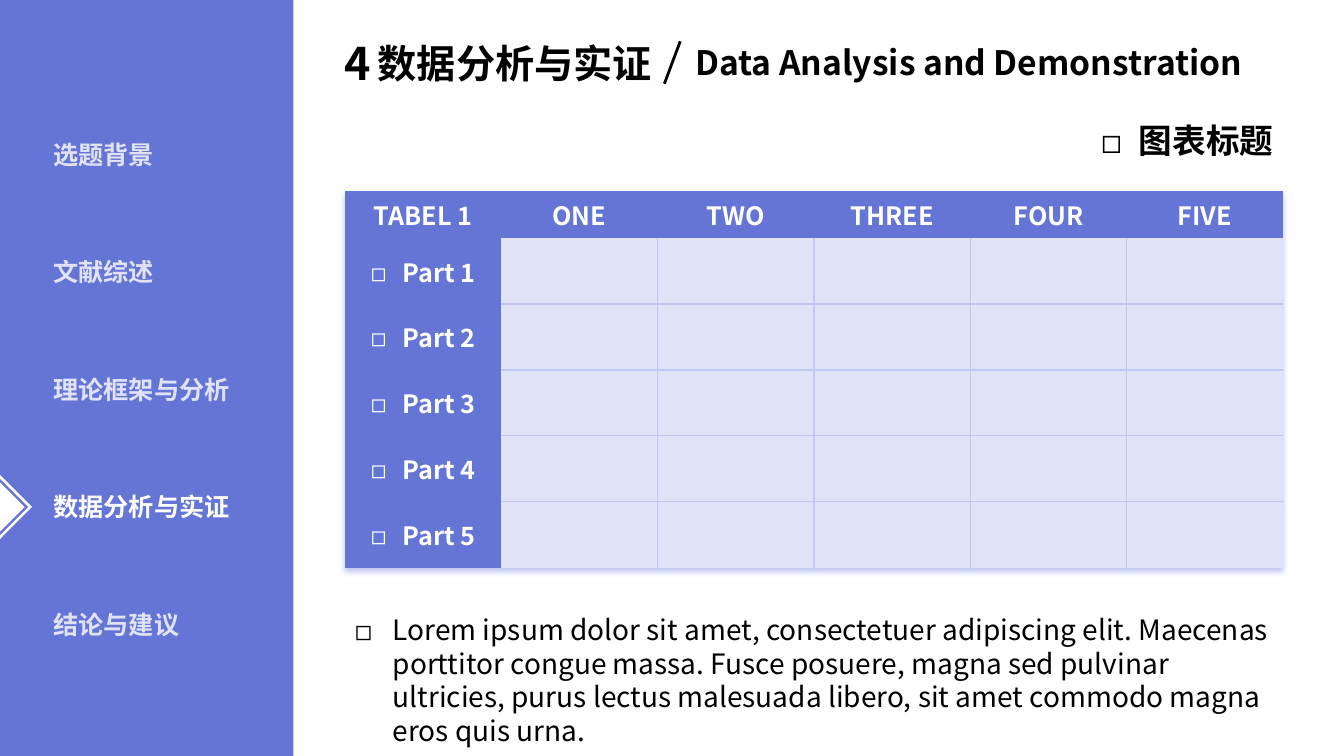
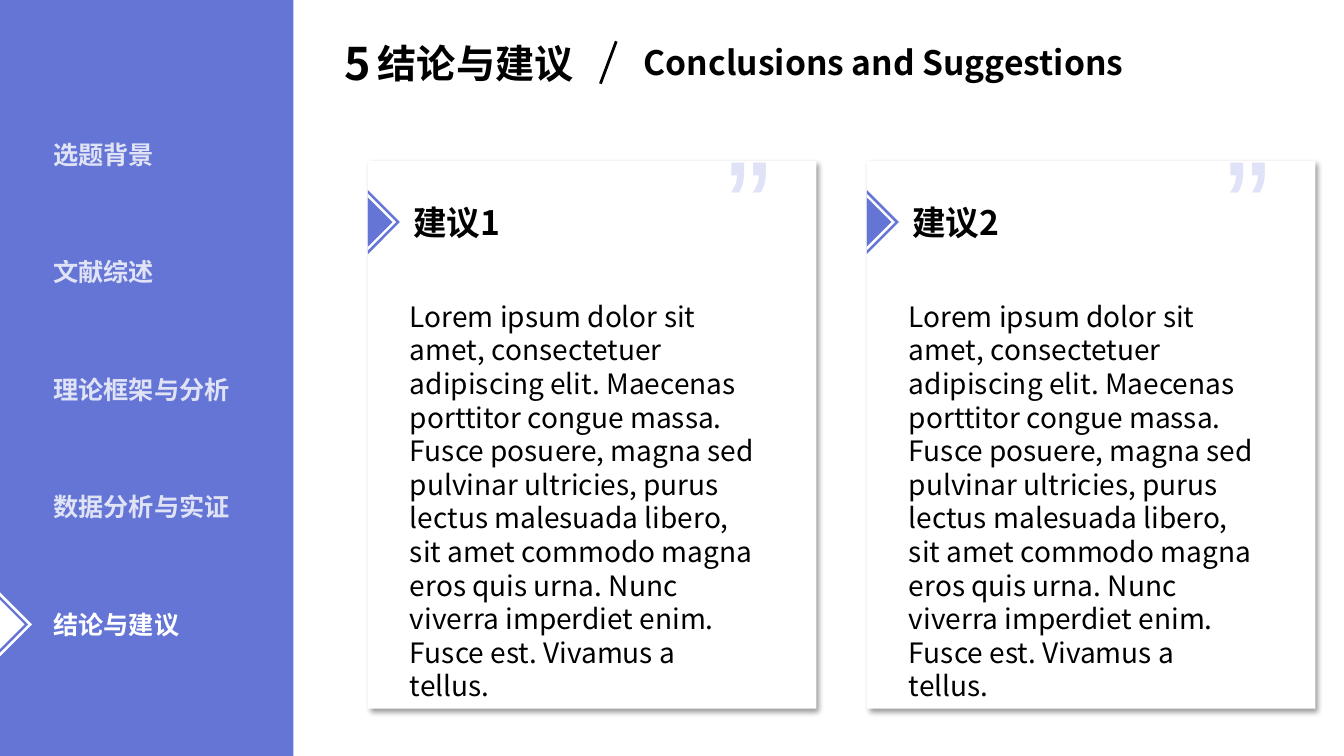
from lxml.etree import SubElement
from pptx import Presentation
from pptx.dml.color import RGBColor
from pptx.enum.shapes import MSO_CONNECTOR, MSO_SHAPE
from pptx.enum.text import MSO_ANCHOR, PP_ALIGN
from pptx.oxml import parse_xml
from pptx.oxml.ns import nsdecls, qn
from pptx.util import Pt

BLUE, PALE, RULE = "6475D6", "E0E3F7", "C1C8EF"
WHITE, BLACK = "FFFFFF", "000000"
FONT = "Noto Sans CJK SC"
NAVIGATION = ["选题背景", "文献综述", "理论框架与分析", "数据分析与实证", "结论与建议"]
NAVIGATION_TOP, NAVIGATION_STEP = 95.8, 83.9
LOREM = (
    "Lorem ipsum dolor sit amet, consectetuer adipiscing elit. Maecenas porttitor "
    "congue massa. Fusce posuere, magna sed pulvinar ultricies, purus lectus malesuada "
    "libero, sit amet commodo magna eros quis urna."
)
LOREM_END = " Nunc viverra imperdiet enim. Fusce est. Vivamus a tellus."
NO_STYLE = "{2D5ABB26-0587-4C30-8999-92F81FD0307C}"


def color(value):
    return RGBColor.from_string(value)


def shadow_effect(value, alpha, blur, distance, degrees):
    return parse_xml(
        f'<a:effectLst {nsdecls("a")}><a:outerShdw blurRad="{Pt(blur)}" dist="{Pt(distance)}" '
        f'dir="{degrees * 60000}" algn="tl" rotWithShape="0"><a:srgbClr val="{value}">'
        f'<a:alpha val="{alpha * 1000}"/></a:srgbClr></a:outerShdw></a:effectLst>'
    )


class Deck:
    def __init__(self):
        self.presentation = Presentation()
        self.presentation.slide_width = Pt(960)
        self.presentation.slide_height = Pt(540)
        self.slide = None

    def add_slide(self, active, number, english, english_left, slash_left):
        self.slide = self.presentation.slides.add_slide(self.presentation.slide_layouts[6])
        self.rectangle(0, 0, 209.5, 540, BLUE)
        for index, name in enumerate(NAVIGATION):
            top = NAVIGATION_TOP + index * NAVIGATION_STEP
            self.text(name, 31, top, 142.5, 29, 18, bold=True, fill=WHITE,
                      alpha=None if index == active else 80, align=PP_ALIGN.JUSTIFY)
        self.pointer(0, NAVIGATION_TOP + active * NAVIGATION_STEP + 14.6, WHITE, BLUE)
        self.text(number, 239, 21.6, 40, 46, 32, bold=True)
        self.text(NAVIGATION[active], 262.8, 24.5, 227, 41, 28, bold=True)
        self.text(english, english_left, 26.6, 427, 36, 24, bold=True)
        self.line(slash_left + 11.3, 29.5, slash_left, 59.8)

    def style(self, paragraph, size, bold=False, fill=BLACK, alpha=None,
              align=PP_ALIGN.LEFT, bullet=0, font=FONT):
        paragraph.alignment = align
        if bullet:
            properties = paragraph._p.get_or_add_pPr()
            properties.set("marL", str(Pt(bullet)))
            properties.set("indent", str(-Pt(bullet)))
            SubElement(properties, qn("a:buFont"), typeface=FONT)
            SubElement(properties, qn("a:buChar"), char="◻")
        for run in paragraph.runs:
            run.font.size, run.font.bold, run.font.name = Pt(size), bold, font
            run.font.color.rgb = color(fill)
            properties = run._r.get_or_add_rPr()
            SubElement(properties, qn("a:ea"), typeface=font)
            if alpha:
                value = properties.find(qn("a:solidFill")).find(qn("a:srgbClr"))
                SubElement(value, qn("a:alpha"), val=str(alpha * 1000))

    def text(self, words, left, top, width, height, size, **style):
        shape = self.slide.shapes.add_textbox(Pt(left), Pt(top), Pt(width), Pt(height))
        shape.text_frame.word_wrap = True
        shape.text_frame.text = words
        self.style(shape.text_frame.paragraphs[0], size, **style)

    def rectangle(self, left, top, width, height, fill, kind=MSO_SHAPE.RECTANGLE):
        shape = self.slide.shapes.add_shape(kind, Pt(left), Pt(top), Pt(width), Pt(height))
        shape.shadow.inherit = False
        shape.fill.solid()
        shape.fill.fore_color.rgb = color(fill)
        shape.line.fill.background()
        return shape

    def pointer(self, center_x, center_y, fill, gap):
        for side, value in ((32.4, fill), (28.4, gap), (24.8, fill)):
            triangle = self.rectangle(center_x - side / 2, center_y - side / 2, side, side,
                                      value, MSO_SHAPE.RIGHT_TRIANGLE)
            triangle.rotation = 225

    def line(self, begin_x, begin_y, end_x, end_y):
        connector = self.slide.shapes.add_connector(
            MSO_CONNECTOR.STRAIGHT, Pt(begin_x), Pt(begin_y), Pt(end_x), Pt(end_y))
        connector.line.color.rgb = color(BLACK)
        connector.line.width = Pt(2)
        SubElement(connector._element.spPr, qn("a:effectLst"))

    def card(self, left, title, body):
        panel = self.rectangle(left, 115.2, 320.4, 391, WHITE)
        properties = panel._element.spPr
        properties.remove(properties.find(qn("a:effectLst")))
        properties.append(shadow_effect(BLACK, 40, 4, 3, 45))
        self.text("”", left + 249, 82.8, 111.6, 124, 96, fill=PALE, font="Arial")
        self.text(title, left + 25.2, 140.4, 124, 36, 24, bold=True)
        self.text(body, left + 23, 210.2, 261.4, 250, 20)
        self.pointer(left, 158.6, BLUE, WHITE)

    def borders(self, cell, sides):
        properties = cell._tc.get_or_add_tcPr()
        for position, side in enumerate(sides):
            properties.insert(position, parse_xml(
                f'<a:ln{side} {nsdecls("a")} w="{Pt(1)}"><a:solidFill>'
                f'<a:srgbClr val="{RULE}"/></a:solidFill></a:ln{side}>'))

    def table(self, left, top, headings, labels):
        last_row, last_column = len(labels), len(headings) - 1
        frame = self.slide.shapes.add_table(
            last_row + 1, last_column + 1, Pt(left), Pt(top), Pt(670.2), Pt(269))
        table = frame.table
        properties = table._tbl.tblPr
        properties.find(qn("a:tableStyleId")).text = NO_STYLE
        properties.insert(0, shadow_effect(BLUE, 40, 4, 3, 90))
        for column in table.columns:
            column.width = Pt(111.7)
        for index, row in enumerate(table.rows):
            row.height = Pt(47.1 if index else 33.5)
        for row in range(last_row + 1):
            for column in range(last_column + 1):
                cell = table.cell(row, column)
                is_label = row == 0 or column == 0
                cell.vertical_anchor = MSO_ANCHOR.MIDDLE
                cell.fill.solid()
                cell.fill.fore_color.rgb = color(BLUE if is_label else PALE)
                if is_label:
                    cell.text_frame.text = labels[row - 1] if row else headings[column]
                    self.style(cell.text_frame.paragraphs[0], 18, bold=True, fill=WHITE,
                               align=PP_ALIGN.CENTER, bullet=22.5 if row else 0)
                else:
                    shown = {"L": column > 1, "R": column < last_column,
                             "T": row > 1, "B": row < last_row}
                    self.borders(cell, [side for side in shown if shown[side]])


def main():
    deck = Deck()

    deck.add_slide(3, "4", "Data Analysis and Demonstration", 489.6, 474.6)
    deck.table(246.4, 136.6, ["TABEL 1", "ONE", "TWO", "THREE", "FOUR", "FIVE"],
               [f"Part {number}" for number in range(1, 6)])
    deck.text(LOREM, 246.4, 434, 670.2, 80, 20, bullet=27)
    deck.text("图表标题", 246.4, 82, 670.2, 36, 24, bold=True,
              align=PP_ALIGN.RIGHT, bullet=27)

    deck.add_slide(4, "5", "Conclusions and Suggestions", 452.8, 428.9)
    for index in range(2):
        deck.card(262.8 + index * 356.4, f"建议{index + 1}", LOREM + LOREM_END)

    deck.presentation.save("out.pptx")


if __name__ == "__main__":
    main()
